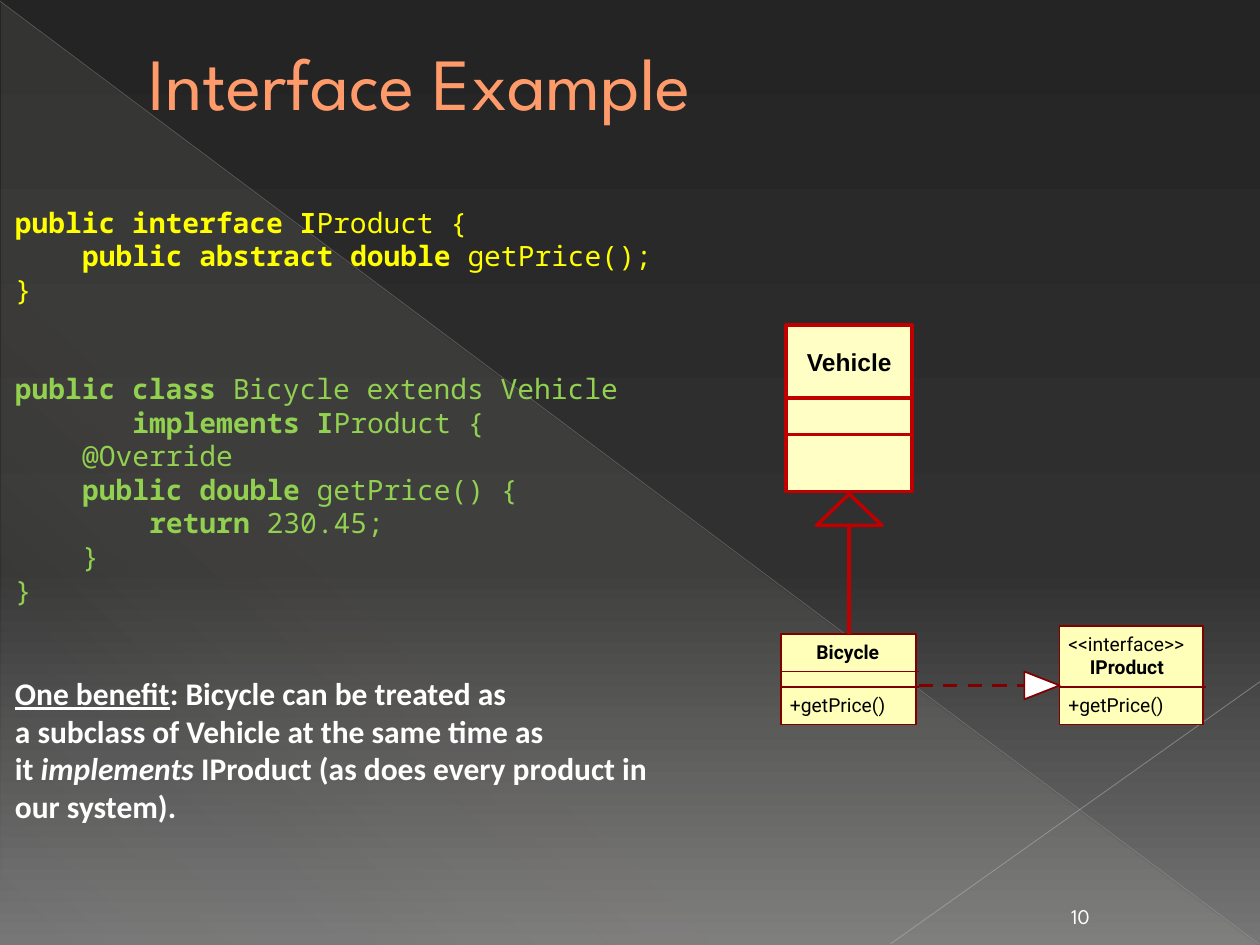
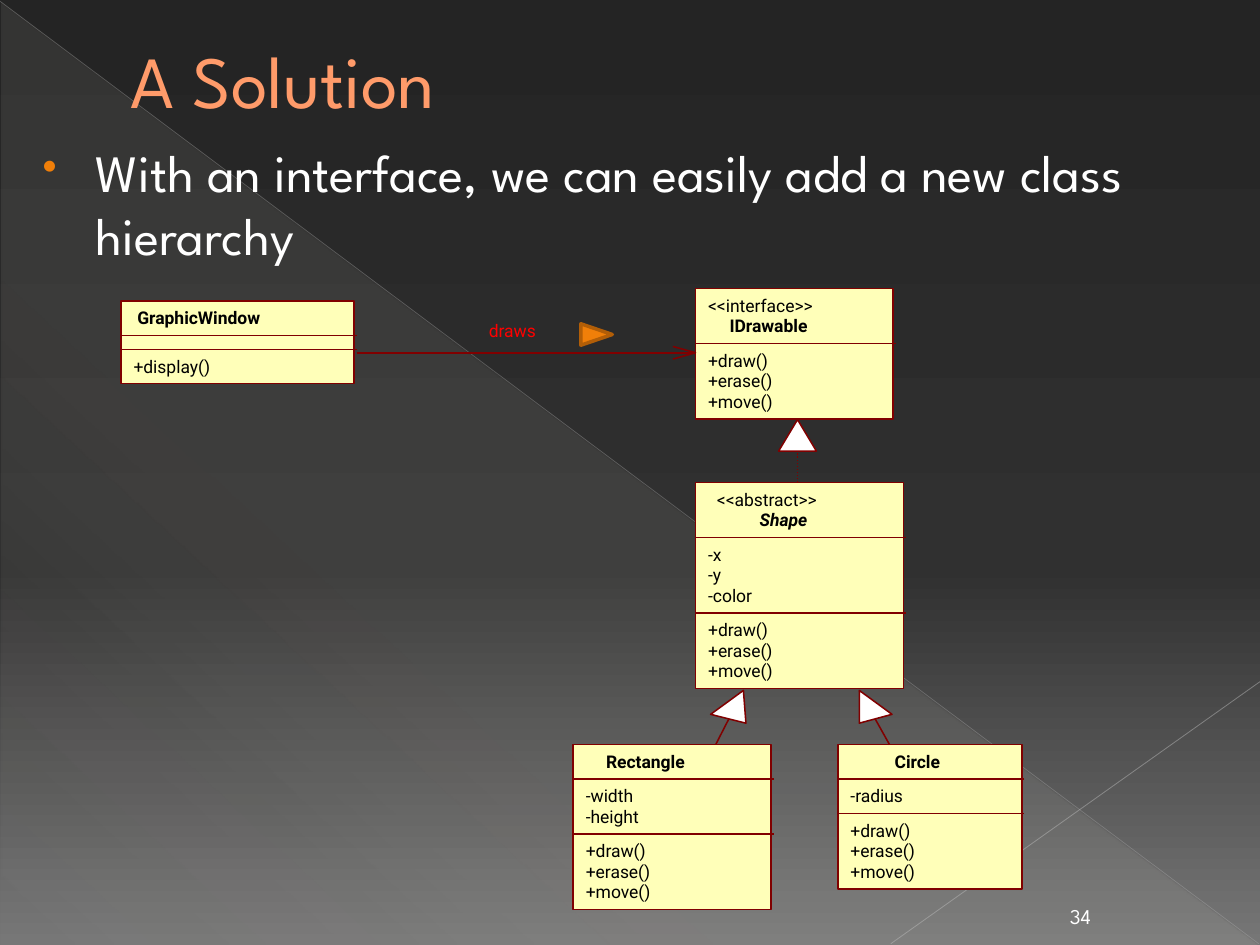
from dataclasses import dataclass
from typing import NamedTuple

from lxml import etree
from pptx import Presentation
from pptx.dml.color import RGBColor
from pptx.enum.dml import MSO_LINE
from pptx.enum.shapes import MSO_CONNECTOR, MSO_SHAPE
from pptx.enum.text import MSO_ANCHOR, PP_ALIGN
from pptx.oxml.ns import qn
from pptx.util import Inches, Pt

RECTANGLE = MSO_SHAPE.RECTANGLE
TRIANGLE = MSO_SHAPE.ISOSCELES_TRIANGLE
RIGHT_TRIANGLE = MSO_SHAPE.RIGHT_TRIANGLE
STRAIGHT = MSO_CONNECTOR.STRAIGHT
DASH, DOT = MSO_LINE.DASH, MSO_LINE.ROUND_DOT
TOP, MIDDLE, BOTTOM = MSO_ANCHOR.TOP, MSO_ANCHOR.MIDDLE, MSO_ANCHOR.BOTTOM
LEFT, CENTER = PP_ALIGN.LEFT, PP_ALIGN.CENTER

COLORS = {
    "title": "FF9B6A", "title_edge": "A65806", "white": "FFFFFF", "black": "000000",
    "veil": "E3DED1", "falling": "B6B6B6", "rising": "BFBFBF",
    "interface_code": "FFFF00", "class_code": "92D050", "bullet": "F07F09",
    "uml_fill": "FFFFB9", "uml_line": "800000", "vehicle_fill": "FFFFC5",
    "vehicle_line": "C00000", "marker_line": "B25E07", "draws": "FF0000",
}
BACKGROUND = [(0, "242424", 100), (60, "303030", 100), (100, "767676", 100)]
VEIL = [(0, COLORS["veil"], 10), (70, COLORS["veil"], 8), (100, COLORS["veil"], 1)]
HEADING, CODE, BODY, UML = "League Spartan", "Noto Sans Mono", "Calibri", "Roboto"
CODE_SIZE = 16
CODE_CHARACTER = 0.6 * CODE_SIZE / 72
CODE_PITCH = 19.2


class Span(NamedTuple):
    text: str
    bold: bool = False
    italic: bool = False
    underline: bool = False


class Line(NamedTuple):
    spans: list[Span]
    indent: int = 0  # in code characters


class Label(NamedTuple):
    text: str
    offset: float
    bold: bool = True
    italic: bool = False


@dataclass(frozen=True)
class UmlStyle:
    size: float
    line_width: float
    padding: float
    pitch: float
    inset: float


@dataclass(frozen=True)
class UmlClass:
    left: float
    top: float
    width: float
    header: list[Label]
    sections: list[list[str]]


LARGE_UML = UmlStyle(size=11, line_width=1, padding=0.12, pitch=0.18, inset=0.07)
SMALL_UML = UmlStyle(size=10, line_width=0.88, padding=0.11, pitch=0.163, inset=0.1)
DRAWING = ["+draw()", "+erase()", "+move()"]

PRICE_CLASSES = [
    UmlClass(6.2, 5.03, 1.07, [Label("Bicycle", 0.28)], [[], ["+getPrice()"]]),
    UmlClass(8.41, 4.97, 1.14,
             [Label("<<interface>>", 0.07, False), Label("IProduct", 0.24)],
             [["+getPrice()"]]),
]
DRAWING_CLASSES = [
    UmlClass(0.96, 2.39, 1.85, [Label("GraphicWindow", 0.13)], [[], ["+display()"]]),
    UmlClass(5.52, 2.29, 1.57,
             [Label("<<interface>>", 0.1, False), Label("IDrawable", 0.27)], [DRAWING]),
    UmlClass(5.52, 3.83, 1.65,
             [Label("<<abstract>>", 0.17, False), Label("Shape", 0.51, italic=True)],
             [["-x", "-y", "-color"], DRAWING]),
    UmlClass(4.55, 5.91, 1.57, [Label("Rectangle", 0.26)],
             [["-width", "-height"], DRAWING]),
    UmlClass(6.65, 5.91, 1.46, [Label("Circle", 0.45)], [["-radius"], DRAWING]),
]

INTERFACE_CODE = [
    Line([Span("public interface I", True), Span("Product {")]),
    Line([Span("public abstract double ", True), Span("getPrice();")], 4),
    Line([Span("}")]),
]
CLASS_CODE = [
    Line([Span("public class ", True), Span("Bicycle extends Vehicle")]),
    Line([Span("implements I", True), Span("Product {")], 7),
    Line([Span("@Override")], 4),
    Line([Span("public double ", True), Span("getPrice() {")], 4),
    Line([Span("return ", True), Span("230.45;")], 8),
    Line([Span("}")], 4),
    Line([Span("}")]),
]
BENEFIT = [
    Line([Span("One benefit", True, underline=True),
          Span(": Bicycle can be treated as", True)]),
    Line([Span("a subclass of Vehicle at the same time as", True)]),
    Line([Span("it ", True), Span("implements ", True, italic=True),
          Span("IProduct (as does every product in our system).", True)]),
]


def rgb(name: str) -> RGBColor:
    return RGBColor.from_string(COLORS[name])


def set_gradient(fill, owner, stops, angle: int) -> None:
    fill.gradient()
    gradient = next(owner.iter(qn("a:gradFill")))
    stop_list = gradient.find(qn("a:gsLst"))
    for stop in list(stop_list):
        stop_list.remove(stop)
    for position, color, opacity in stops:
        stop = etree.SubElement(stop_list, qn("a:gs"), pos=str(position * 1000))
        node = etree.SubElement(stop, qn("a:srgbClr"), val=color)
        etree.SubElement(node, qn("a:alpha"), val=str(opacity * 1000))
    gradient.find(qn("a:lin")).set("ang", str(angle * 60000))


def set_indent(paragraph, margin: float, first_line: float = 0):
    properties = paragraph._p.get_or_add_pPr()
    properties.set("marL", str(Inches(margin)))
    properties.set("indent", str(Inches(first_line)))
    return properties


def format_run(run, font: str, size: float, color: str, bold=False, italic=False,
               underline=False) -> None:
    run.font.name, run.font.size = font, Pt(size)
    run.font.color.rgb = rgb(color)
    run.font.bold, run.font.italic, run.font.underline = bold, italic, underline


def add_text_frame(slide, left, top, width, height, anchor=TOP, inset=True):
    frame = slide.shapes.add_textbox(
        Inches(left), Inches(top), Inches(width), Inches(height)).text_frame
    frame.word_wrap = True
    frame.vertical_anchor = anchor
    if not inset:
        frame.margin_left = frame.margin_right = 0
        frame.margin_top = frame.margin_bottom = 0
    return frame


def add_text(slide, text: str, left, top, width, height, font, size, color,
             bold=False, italic=False, align=LEFT, anchor=TOP, inset=True):
    frame = add_text_frame(slide, left, top, width, height, anchor, inset)
    frame.text = text
    paragraph = frame.paragraphs[0]
    paragraph.alignment = align
    format_run(paragraph.runs[0], font, size, color, bold, italic)
    return paragraph


def add_lines(frame, lines: list[Line], font, size, color, pitch=None):
    """Append lines to a frame and return their paragraphs."""
    paragraphs = []
    for line in lines:
        first = frame.paragraphs[0]
        paragraph = frame.add_paragraph() if first.runs else first
        set_indent(paragraph, line.indent * CODE_CHARACTER)
        if pitch:
            paragraph.line_spacing = Pt(pitch)
        for span in line.spans:
            run = paragraph.add_run()
            run.text = span.text
            format_run(run, font, size, color, *span[1:])
        paragraphs.append(paragraph)
    return paragraphs


def style_shape(shape, fill, line, width=1.0) -> None:
    shape.shadow.inherit = False
    if fill:
        shape.fill.solid()
        shape.fill.fore_color.rgb = rgb(fill)
    else:
        shape.fill.background()
    if line:
        shape.line.color.rgb = rgb(line)
        shape.line.width = Pt(width)
    else:
        shape.line.fill.background()


def add_preset(slide, kind, left, top, width, height, fill, line, line_width=1.0):
    shape = slide.shapes.add_shape(
        kind, Inches(left), Inches(top), Inches(width), Inches(height))
    style_shape(shape, fill, line, line_width)
    return shape


def add_line(slide, start, end, color="uml_line", width=1.0, dash=None, opacity=100):
    connector = slide.shapes.add_connector(
        STRAIGHT, *(Inches(value) for value in (*start, *end)))
    connector.line.color.rgb = rgb(color)
    connector.line.width = Pt(width)
    if dash:
        connector.line.dash_style = dash
    if opacity < 100:
        node = next(connector.element.iter(qn("a:srgbClr")))
        etree.SubElement(node, qn("a:alpha"), val=str(opacity * 1000))
    etree.SubElement(connector.element.spPr, qn("a:effectLst"))


def add_arrowhead(slide, points, width, closed=True) -> None:
    corners = [(Inches(x), Inches(y)) for x, y in points]
    builder = slide.shapes.build_freeform(*corners[0])
    builder.add_line_segments(corners[1:], close=closed)
    style_shape(builder.convert_to_shape(), "white" if closed else None,
                "uml_line", width)


def add_uml_class(slide, uml: UmlClass, style: UmlStyle) -> None:
    """Draw a class box whose sections are as tall as their rows need."""
    members = [[Label(text, style.inset, False) for text in section]
               for section in uml.sections]
    sections = [uml.header, *members]
    heights = [style.padding + style.pitch * len(section) for section in sections]
    add_preset(slide, RECTANGLE, uml.left, uml.top, uml.width, sum(heights),
               "uml_fill", "uml_line", style.line_width)
    top = uml.top
    for section, height in zip(sections, heights):
        if top > uml.top:
            add_line(slide, (uml.left, top), (uml.left + uml.width + 0.02, top),
                     width=style.line_width)
        for row, label in enumerate(section):
            add_text(slide, label.text, uml.left + label.offset,
                     top + 0.05 + row * style.pitch, uml.width - label.offset, 0.2,
                     UML, style.size, "black", label.bold, label.italic, inset=False)
        top += height


def add_base_slide(presentation, title: str, left: float, top: float, number: int):
    slide = presentation.slides.add_slide(presentation.slide_layouts[6])
    set_gradient(slide.background.fill, slide.element, BACKGROUND, 90)
    veil = add_preset(slide, RIGHT_TRIANGLE, 0.01, 0.02, 9.98, 7.48, None, None)
    set_gradient(veil.fill, veil.element, VEIL, 133)
    add_line(slide, (0, 0.01), (9.99, 7.49), "falling", 0.39, opacity=35)
    add_line(slide, (10, 5.41), (7.07, 7.49), "rising", 0.47, opacity=45)
    heading = add_text(slide, title, left, top, 9, 1.25, HEADING, 42, "title",
                       anchor=MIDDLE)
    set_indent(heading, 0.53)
    outline = etree.Element(qn("a:ln"), w=str(Pt(0.5)))
    fill = etree.SubElement(outline, qn("a:solidFill"))
    etree.SubElement(fill, qn("a:srgbClr"), val=COLORS["title_edge"])
    heading.runs[0].font._element.insert(0, outline)
    add_text(slide, str(number), 8.3, 7.09, 0.55, 0.33, HEADING, 12, "white",
             align=CENTER, anchor=BOTTOM)
    return slide


def build_interface_example(presentation) -> None:
    slide = add_base_slide(presentation, "Interface Example", 0.55, 0.02, 10)
    interface_frame = add_text_frame(slide, 0.02, 1.58, 7.33, 0.91)
    add_lines(interface_frame, INTERFACE_CODE, CODE, CODE_SIZE, "interface_code",
              CODE_PITCH)
    class_frame = add_text_frame(slide, 0.02, 2.9, 5.43, 3.74)
    add_lines(class_frame, CLASS_CODE, CODE, CODE_SIZE, "class_code", CODE_PITCH)
    benefit = add_lines(class_frame, BENEFIT, BODY, 18, "white")
    benefit[0].space_before = Pt(2 * CODE_PITCH)

    for uml in PRICE_CLASSES:
        add_uml_class(slide, uml, LARGE_UML)
    add_line(slide, (7.29, 5.44), (8.41, 5.44), width=2, dash=DASH)
    add_arrowhead(slide, [(8.13, 5.55), (8.41, 5.44), (8.13, 5.33)], 1)

    add_line(slide, (6.74, 5.03), (6.74, 4.17), "vehicle_line", 2)
    add_preset(slide, TRIANGLE, 6.48, 3.92, 0.52, 0.25, None, "vehicle_line", 2)
    for top, height in ((2.58, 0.58), (3.16, 0.29), (3.45, 0.45)):
        add_preset(slide, RECTANGLE, 6.24, top, 1, height, "vehicle_fill",
                   "vehicle_line", 2)
    add_text(slide, "Vehicle", 6.24, 2.58, 1, 0.58, "Arial", 14, "black", True,
             align=CENTER, anchor=MIDDLE)


def build_solution(presentation) -> None:
    slide = add_base_slide(presentation, "A Solution", 0.41, 0, 34)
    point = add_text(slide, "With an interface, we can easily add a new class hierarchy",
                     0.17, 1.06, 9.5, 4.8, HEADING, 30, "white")
    point.space_before = Pt(6)
    properties = set_indent(point, 0.49, -0.42)
    bullet_color = etree.SubElement(properties, qn("a:buClr"))
    etree.SubElement(bullet_color, qn("a:srgbClr"), val=COLORS["bullet"])
    etree.SubElement(properties, qn("a:buSzPct"), val="80000")
    etree.SubElement(properties, qn("a:buChar"), char="•")

    width = SMALL_UML.line_width
    for uml in DRAWING_CLASSES:
        add_uml_class(slide, uml, SMALL_UML)
    for start, end, dash in (((5.68, 5.91), (5.9, 5.48), None),
                             ((7.06, 5.91), (6.82, 5.48), None),
                             ((6.33, 3.83), (6.33, 3.33), DOT),
                             ((2.83, 2.8), (5.52, 2.8), None)):
        add_line(slide, start, end, width=width, dash=dash)
    for points in ([(5.92, 5.74), (5.9, 5.48), (5.64, 5.67)],
                   [(7.08, 5.67), (6.82, 5.48), (6.82, 5.74)],
                   [(6.48, 3.58), (6.33, 3.33), (6.18, 3.58)]):
        add_arrowhead(slide, points, width)
    add_arrowhead(slide, [(5.34, 2.85), (5.52, 2.8), (5.34, 2.75)], width, closed=False)
    add_text(slide, "draws", 3.88, 2.54, 0.56, 0.17, UML, 10, "draws", inset=False)
    marker = add_preset(slide, TRIANGLE, 4.65, 2.53, 0.17, 0.25, "bullet",
                        "marker_line", 2)
    marker.rotation = 90


def main() -> None:
    presentation = Presentation()
    presentation.slide_width, presentation.slide_height = Inches(10), Inches(7.5)
    build_interface_example(presentation)
    build_solution(presentation)
    presentation.save("out.pptx")


if __name__ == "__main__":
    main()
